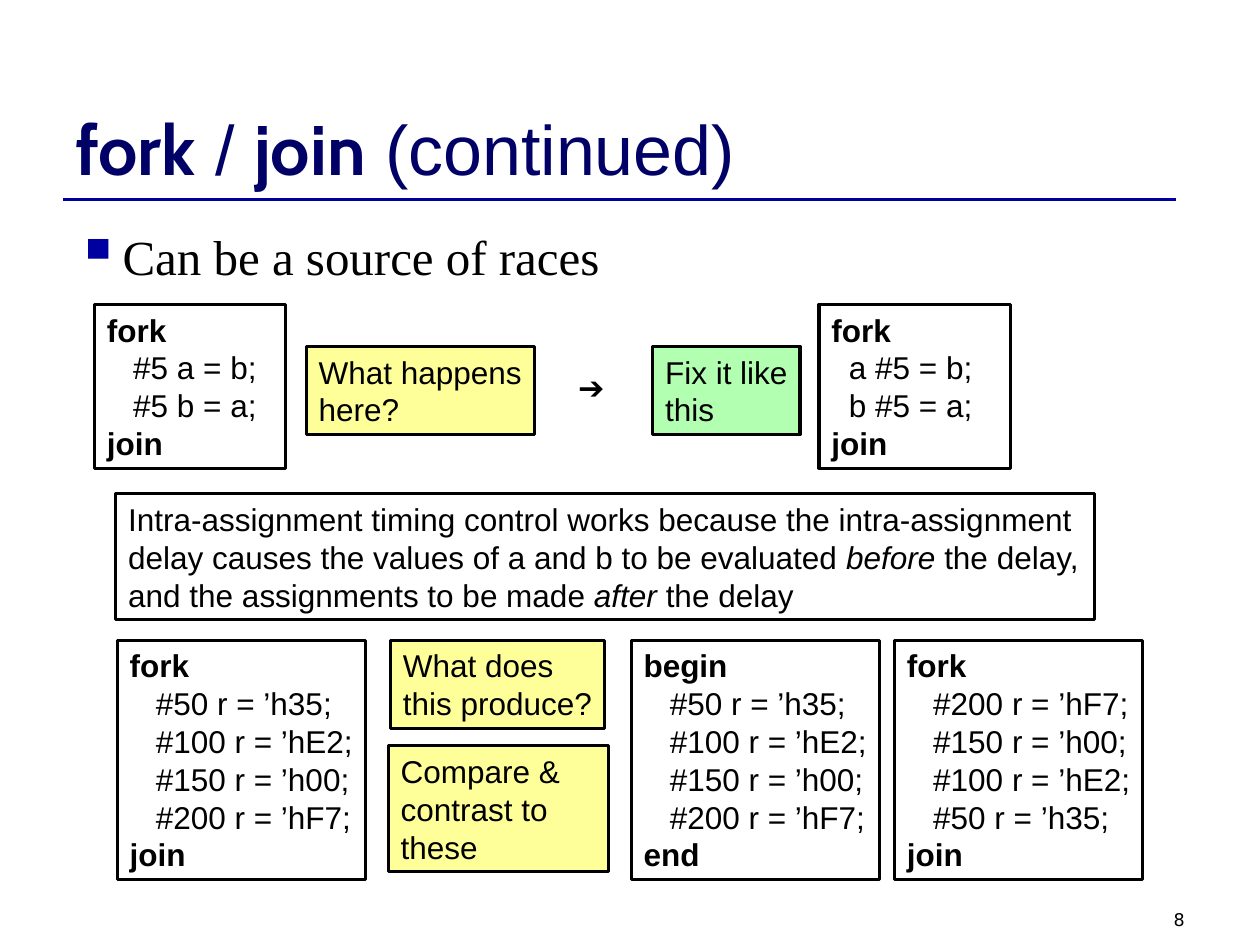
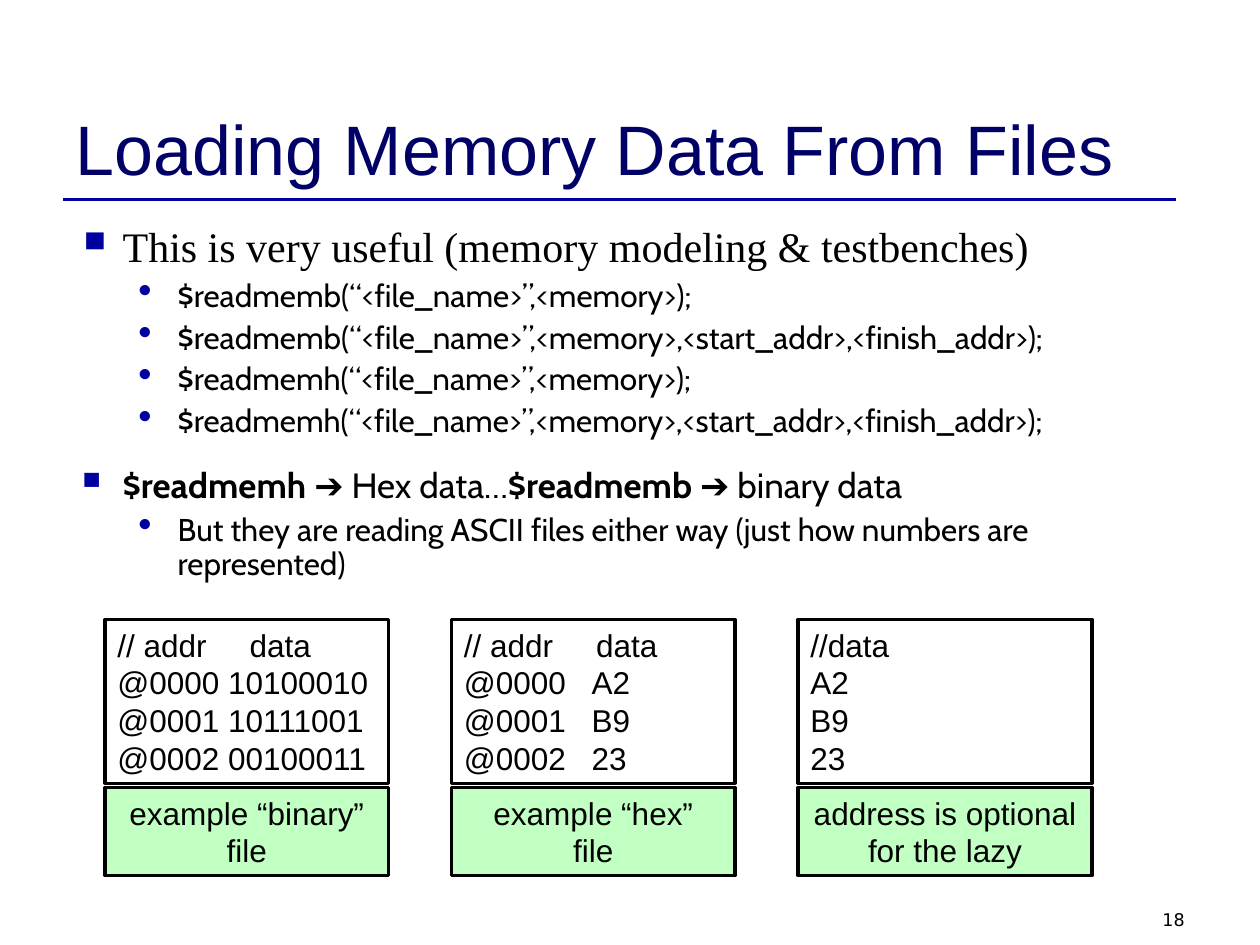
from dataclasses import dataclass

from lxml import etree
from pptx import Presentation
from pptx.dml.color import RGBColor
from pptx.enum import shapes, text
from pptx.oxml import ns
from pptx.util import Pt


@dataclass(frozen=True)
class Theme:
    ink: str = "000000"
    title: str = "000066"
    accent: str = "0000A0"
    question: str = "FFFF99"
    answer: str = "00FF00"
    sans: str = "Arial"
    serif: str = "Times New Roman"
    rounded: str = "Cabin"
    number: str = "DejaVu Sans"
    title_size: float = 40
    lead_size: float = 28
    topic_size: float = 24
    point_size: float = 20
    text_size: float = 18
    number_size: float = 10
    rule_width: float = 1.5
    border_width: float = 1.75


@dataclass(frozen=True)
class Box:
    left: float
    top: float
    width: float
    height: float

    def inner(self, left, top, width, height):
        return Box(self.left + left, self.top + top, width, height)

    def lengths(self):
        return [Pt(value) for value in (self.left, self.top, self.width, self.height)]


@dataclass(frozen=True)
class Level:
    mark: str
    margin: float
    hanging: float


THEME = Theme()
LEVELS = [Level("▪", 27, 27), Level("•", 58.5, 22.5)]
TITLE_BOX = Box(36, 21.6, 648, 90)
RULE_BOX = Box(36, 114, 636, 0)
NUMBER_BOX = Box(516, 516, 168, 18)


def add_xml(parent, tag, **attributes):
    return etree.SubElement(parent, ns.qn(tag), attributes)


def style(run, size, font=THEME.sans, color=THEME.ink, bold=False, italic=False):
    run.font.size = Pt(size)
    run.font.name = font
    run.font.color.rgb = RGBColor.from_string(color)
    run.font.bold = bold
    run.font.italic = italic


def write_pieces(paragraph, pieces, size, color=THEME.ink):
    for words, look in pieces:
        run = paragraph.add_run()
        run.text = words
        style(run, size, color=color, **look)


def write_lines(frame, lines, size=THEME.text_size, font=THEME.sans):
    frame.text = "\n".join(lines)
    for paragraph in frame.paragraphs:
        for run in paragraph.runs:
            style(run, size, font)
    return frame.paragraphs


def text_area(slide, box, anchor=text.MSO_ANCHOR.TOP):
    frame = slide.shapes.add_textbox(*box.lengths()).text_frame
    frame.word_wrap = True
    frame.vertical_anchor = anchor
    return frame


def panel(slide, box, fill=None, alpha=None, wrap=True):
    shape = slide.shapes.add_shape(shapes.MSO_SHAPE.RECTANGLE, *box.lengths())
    shape.shadow.inherit = False
    shape.line.color.rgb = RGBColor.from_string(THEME.ink)
    shape.line.width = Pt(THEME.border_width)
    if fill:
        shape.fill.solid()
        shape.fill.fore_color.rgb = RGBColor.from_string(fill)
        if alpha:
            color = shape._element.spPr.find(ns.qn("a:solidFill"))[0]
            add_xml(color, "a:alpha", val=str(alpha * 1000))
    else:
        shape.fill.background()
    frame = shape.text_frame
    frame.word_wrap = wrap
    frame.auto_size = text.MSO_AUTO_SIZE.SHAPE_TO_FIT_TEXT
    frame.vertical_anchor = text.MSO_ANCHOR.TOP
    frame.paragraphs[0].alignment = text.PP_ALIGN.LEFT
    return frame


def label(slide, box, lines, fill, alpha=None, wrap=False, align=text.PP_ALIGN.LEFT):
    for paragraph in write_lines(panel(slide, box, fill, alpha, wrap), lines):
        paragraph.alignment = align


def code_block(slide, box, opening, statements, closing, indent=15, wrap=False):
    frame = panel(slide, box, wrap=wrap)
    paragraphs = write_lines(frame, [opening, *statements, closing])
    for paragraph in paragraphs:
        paragraph.alignment = text.PP_ALIGN.LEFT
    for paragraph in paragraphs[1:-1]:
        paragraph._p.get_or_add_pPr().set("marL", str(Pt(indent)))
    for keyword in (paragraphs[0], paragraphs[-1]):
        keyword.runs[0].font.bold = True


def bullet(paragraph, level, before, spacing=None):
    paragraph.level = level
    paragraph.space_before = Pt(before)
    if spacing:
        paragraph.line_spacing = spacing
    shape = LEVELS[level]
    properties = paragraph._p.get_or_add_pPr()
    properties.set("marL", str(Pt(shape.margin)))
    properties.set("indent", str(-Pt(shape.hanging)))
    add_xml(add_xml(properties, "a:buClr"), "a:srgbClr", val=THEME.accent)
    add_xml(properties, "a:buSzPct", val="125000")
    add_xml(properties, "a:buChar", char=shape.mark)


def base_slide(presentation, title, number):
    slide = presentation.slides.add_slide(presentation.slide_layouts[6])
    left, top, width, height = RULE_BOX.lengths()
    rule = slide.shapes.add_connector(
        shapes.MSO_CONNECTOR.STRAIGHT, left, top, left + width, top + height)
    rule.line.color.rgb = RGBColor.from_string(THEME.accent)
    rule.line.width = Pt(THEME.rule_width)
    add_xml(rule._element.spPr, "a:effectLst")
    frame = text_area(slide, NUMBER_BOX)
    paragraph = write_lines(frame, [number], THEME.number_size, THEME.number)[0]
    paragraph.alignment = text.PP_ALIGN.RIGHT
    frame = text_area(slide, TITLE_BOX, text.MSO_ANCHOR.BOTTOM)
    write_pieces(frame.paragraphs[0], title, THEME.title_size, THEME.title)
    return slide


def race_row(slide, box):
    code_block(slide, box.inner(0, 0, 109.4, 93.6), "fork",
               ["#5 a = b;", "#5 b = a;"], "join", wrap=True)
    label(slide, box.inner(121, 24, 130.3, 50.4), ["What happens", "here?"], THEME.question)
    arrow = text_area(slide, box.inner(269.3, 32.6, 32.4, 28.8))
    arrow.word_wrap = False
    write_lines(arrow, ["➔"])
    code_block(slide, box.inner(414, 0, 109.4, 93.6), "fork",
               ["a #5 = b;", "b #5 = a;"], "join", indent=10, wrap=True)
    label(slide, box.inner(319, 24, 84.2, 50.4), ["Fix it like", "this"], THEME.answer, 30)


def timing_note(slide, box):
    plain, slanted = {}, {"italic": True}
    write_pieces(panel(slide, box).paragraphs[0], [
        ("Intra-assignment timing control works because the intra-assignment delay "
         "causes the values of a and b to be evaluated ", plain),
        ("before ", slanted),
        ("the delay, and the assignments to be made ", plain),
        ("after ", slanted),
        ("the delay", plain),
    ], THEME.text_size)


def comparison_row(slide, box):
    rising = ["#50 r = ’h35;", "#100 r = ’hE2;", "#150 r = ’h00;", "#200 r = ’hF7;"]
    blocks = [(0, "fork", rising, "join"),
              (293.7, "begin", rising, "end"),
              (444.2, "fork", rising[::-1], "join")]
    for left, opening, statements, closing in blocks:
        code_block(slide, box.inner(left, 0, 141.8, box.height), opening, statements, closing)
    label(slide, box.inner(156.2, 0, 122.4, 50.4),
          ["What does", "this produce?"], THEME.question)
    label(slide, box.inner(154.8, 60.4, 126, 72),
          ["Compare & contrast to these"], THEME.question, wrap=True)


def fork_join_slide(presentation):
    strong = {"font": THEME.rounded, "bold": True}
    title = [("fork", strong), (" / ", {}), ("join", strong), (" (continued)", {})]
    slide = base_slide(presentation, title, "8")
    frame = text_area(slide, Box(36, 126, 648, 390))
    lead = write_lines(frame, ["Can be a source of races"], THEME.lead_size, THEME.serif)[0]
    bullet(lead, 0, 7)
    race_row(slide, Box(54, 174, 523.4, 93.6))
    timing_note(slide, Box(66.2, 282.2, 559.4, 72))
    comparison_row(slide, Box(67, 365.8, 586, 136.8))


def system_tasks(slide, box):
    arguments = ["", ",<start_addr>,<finish_addr>"]
    calls = [f"${task}(“<file_name>”,<memory>{extra});"
             for task in ("readmemb", "readmemh") for extra in arguments]
    frame = text_area(slide, box)
    topic, *points = write_lines(
        frame, ["This is very useful (memory modeling & testbenches)", *calls],
        font=THEME.rounded)
    style(topic.runs[0], THEME.topic_size, THEME.serif)
    bullet(topic, 0, 6, 0.9)
    for point in points:
        bullet(point, 1, 4.5, 0.9)


def number_formats(slide, box):
    regular = {"font": THEME.rounded}
    strong = {"font": THEME.rounded, "bold": True}
    frame = text_area(slide, box)
    summary = frame.paragraphs[0]
    write_pieces(summary, [
        ("$readmemh ", strong), ("➔", {}), (" Hex data…", regular),
        ("$readmemb ", strong), ("➔", {}), (" binary data", regular),
    ], THEME.point_size)
    bullet(summary, 0, 5, 0.9)
    detail = frame.add_paragraph()
    write_pieces(detail, [
        ("But they are reading ASCII files either way (just how numbers are represented)",
         regular)], THEME.text_size)
    bullet(detail, 1, 4.5, 0.9)


def memory_file(slide, box, lines, caption):
    frame = panel(slide, box.inner(0, 0, box.width, 93.6))
    for row, paragraph in enumerate(write_lines(frame, lines)):
        paragraph.alignment = text.PP_ALIGN.LEFT
        if "\t" in lines[row]:
            stops = add_xml(paragraph._p.get_or_add_pPr(), "a:tabLst")
            add_xml(stops, "a:tab", pos=str(Pt(73 if row else 75.5)), algn="l")
    label(slide, box.inner(0, 96, box.width, 50.4), caption, THEME.answer, 24,
          wrap=True, align=text.PP_ALIGN.CENTER)


def memory_files(slide, box):
    header = "// addr\tdata"
    files = [
        (162, [header, "@0000 10100010", "@0001 10111001", "@0002 00100011"],
         ["example “binary”", "file"]),
        (162, [header, "@0000\tA2", "@0001\tB9", "@0002\t23"], ["example “hex”", "file"]),
        (168, ["//data", "A2", "B9", "23"], ["address is optional for the lazy"]),
    ]
    for column, (width, lines, caption) in enumerate(files):
        memory_file(slide, box.inner(column * 198, 0, width, box.height), lines, caption)


def memory_slide(presentation):
    slide = base_slide(presentation, [("Loading Memory Data From Files", {})], "18")
    system_tasks(slide, Box(36, 126, 648, 144))
    number_formats(slide, Box(36, 264, 648, 78))
    memory_files(slide, Box(60, 354, 564, 146.4))


def main():
    presentation = Presentation()
    presentation.slide_width = Pt(720)
    presentation.slide_height = Pt(540)
    fork_join_slide(presentation)
    memory_slide(presentation)
    presentation.save("out.pptx")


if __name__ == "__main__":
    main()
